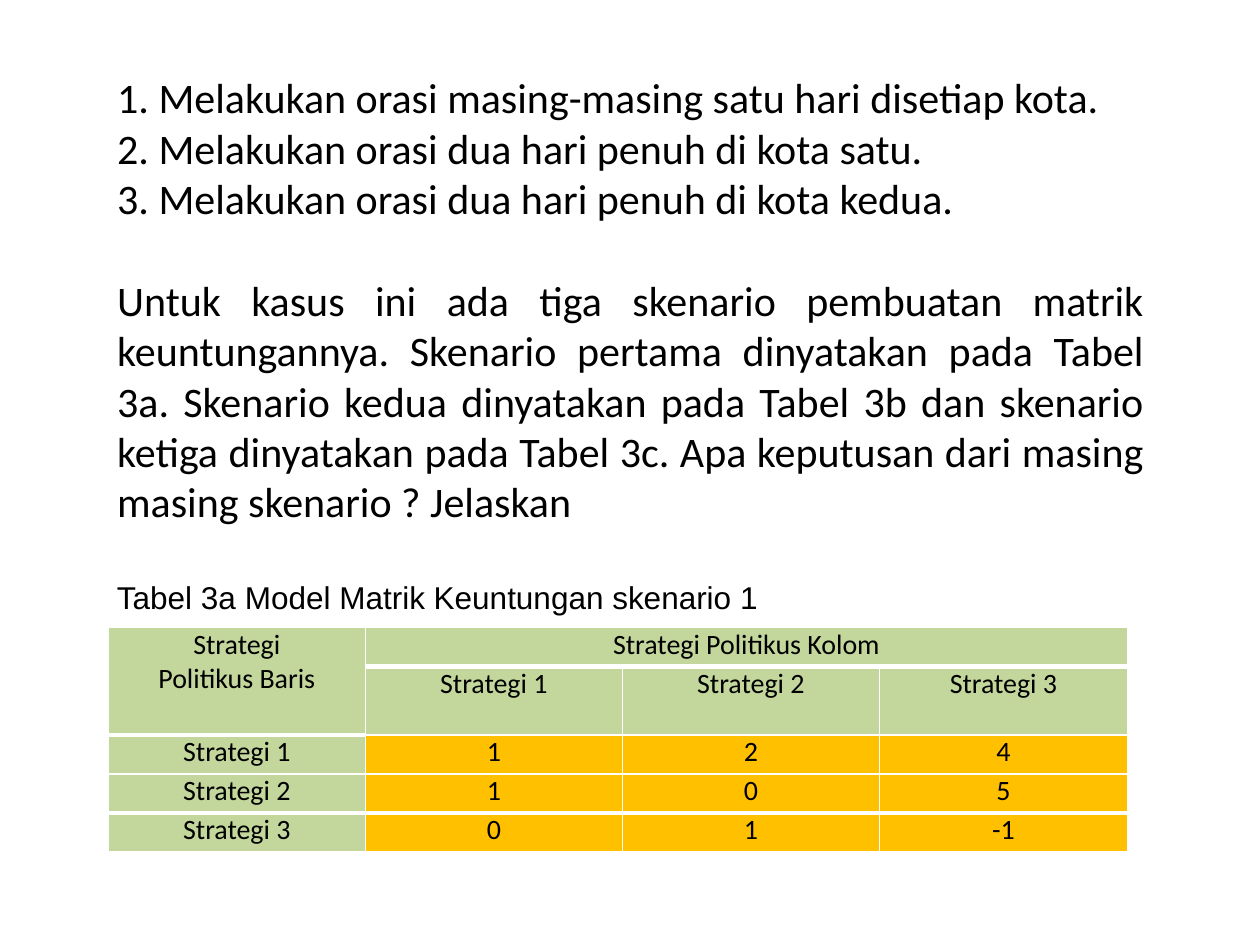
from lxml.etree import SubElement
from pptx import Presentation
from pptx.dml.color import RGBColor
from pptx.enum.text import MSO_AUTO_SIZE as AutoSize, PP_ALIGN as Align
from pptx.oxml.ns import qn
from pptx.util import Inches, Pt

BLACK = RGBColor(0x00, 0x00, 0x00)
WHITE = RGBColor(0xFF, 0xFF, 0xFF)
GREEN = RGBColor(0xC3, 0xD6, 0x9B)
AMBER = RGBColor(0xFF, 0xC0, 0x00)


def format_text(frame, font_name, size, align):
    for para in frame.paragraphs:
        para.alignment = align
        for span in para.runs:
            span.font.name = font_name
            span.font.size = Pt(size)
            span.font.color.rgb = BLACK


def add_border(cell, side, points):
    line = SubElement(cell._tc.get_or_add_tcPr(), qn(f"a:ln{side}"), w=str(Pt(points)))
    fill = SubElement(line, qn("a:solidFill"))
    SubElement(fill, qn("a:srgbClr"), val=str(WHITE))


deck = Presentation()
deck.slide_width, deck.slide_height = Inches(10), Inches(7.5)
page = deck.slides.add_slide(deck.slide_layouts[1])
title, body = page.placeholders
title._element.getparent().remove(title._element)
left = Inches(0.83)

# Options and question
body.left, body.top, body.width, body.height = left, Inches(0.52), Inches(8.35), Inches(3.74)
frame = body.text_frame
frame.auto_size = AutoSize.NONE
frame.text = "\n".join([
    "1. Melakukan orasi masing-masing satu hari disetiap kota.",
    "2. Melakukan orasi dua hari penuh di kota satu.",
    "3. Melakukan orasi dua hari penuh di kota kedua.",
    "Untuk kasus ini ada tiga skenario pembuatan matrik keuntungannya. "
    "Skenario pertama dinyatakan pada Tabel 3a. Skenario kedua dinyatakan "
    "pada Tabel 3b dan skenario ketiga dinyatakan pada Tabel 3c. "
    "Apa keputusan dari masing masing skenario ? Jelaskan",
])
*options, question = frame.paragraphs
for para in frame.paragraphs:
    properties = para._p.get_or_add_pPr()
    properties.set("marL", str(Inches(0.13) if para in options else 0))
    properties.set("indent", "0")
    SubElement(properties, qn("a:buNone"))
    para.space_before = Pt(0)
question.space_before = Pt(29.3)
format_text(frame, "Calibri", 24, Align.JUSTIFY)

# Payoff table
HEADERS = ["Strategi 1", "Strategi 2", "Strategi 3"]
PAYOFFS = [[1, 2, 4], [1, 0, 5], [0, 1, -1]]
rows = [["Strategi\nPolitikus Baris", "Strategi Politikus Kolom", "", ""], ["", *HEADERS]]
rows += [[header, *values] for header, values in zip(HEADERS, PAYOFFS)]
widths = [2.04, 2.04, 2.04, 1.97]
heights = [0.31, 0.53, 0.31, 0.31, 0.31]
THICK_BELOW = {(row, col) for row in (0, 3) for col in range(4)} | {(1, 0)}

table = page.shapes.add_table(
    len(rows), len(widths), Inches(0.86), Inches(4.98),
    Inches(sum(widths)), Inches(sum(heights))).table
for column, width in zip(table.columns, widths):
    column.width = Inches(width)
for table_row, height in zip(table.rows, heights):
    table_row.height = Inches(height)
table.cell(0, 0).merge(table.cell(1, 0))
table.cell(0, 1).merge(table.cell(0, 3))

for row, values in enumerate(rows):
    for col, value in enumerate(values):
        cell = table.cell(row, col)
        add_border(cell, "L", 1)
        add_border(cell, "R", 1)
        add_border(cell, "T", 3 if (row - 1, col) in THICK_BELOW else 1)
        add_border(cell, "B", 3 if (row, col) in THICK_BELOW else 1)
        cell.fill.solid()
        cell.fill.fore_color.rgb = AMBER if row > 1 and col > 0 else GREEN
        cell.margin_left = cell.margin_right = Inches(0.07)
        cell.margin_top = cell.margin_bottom = 0
        if not cell.is_spanned:
            cell.text_frame.text = str(value)
            format_text(cell.text_frame, "Calibri", 16, Align.CENTER)

# Table caption
caption = page.shapes.add_textbox(left, Inches(4.54), Inches(8.11), Inches(0.4))
caption.text_frame.word_wrap = True
caption.text_frame.text = "Tabel 3a Model Matrik Keuntungan skenario 1"
format_text(caption.text_frame, "Arial", 18, Align.LEFT)

deck.save("out.pptx")
